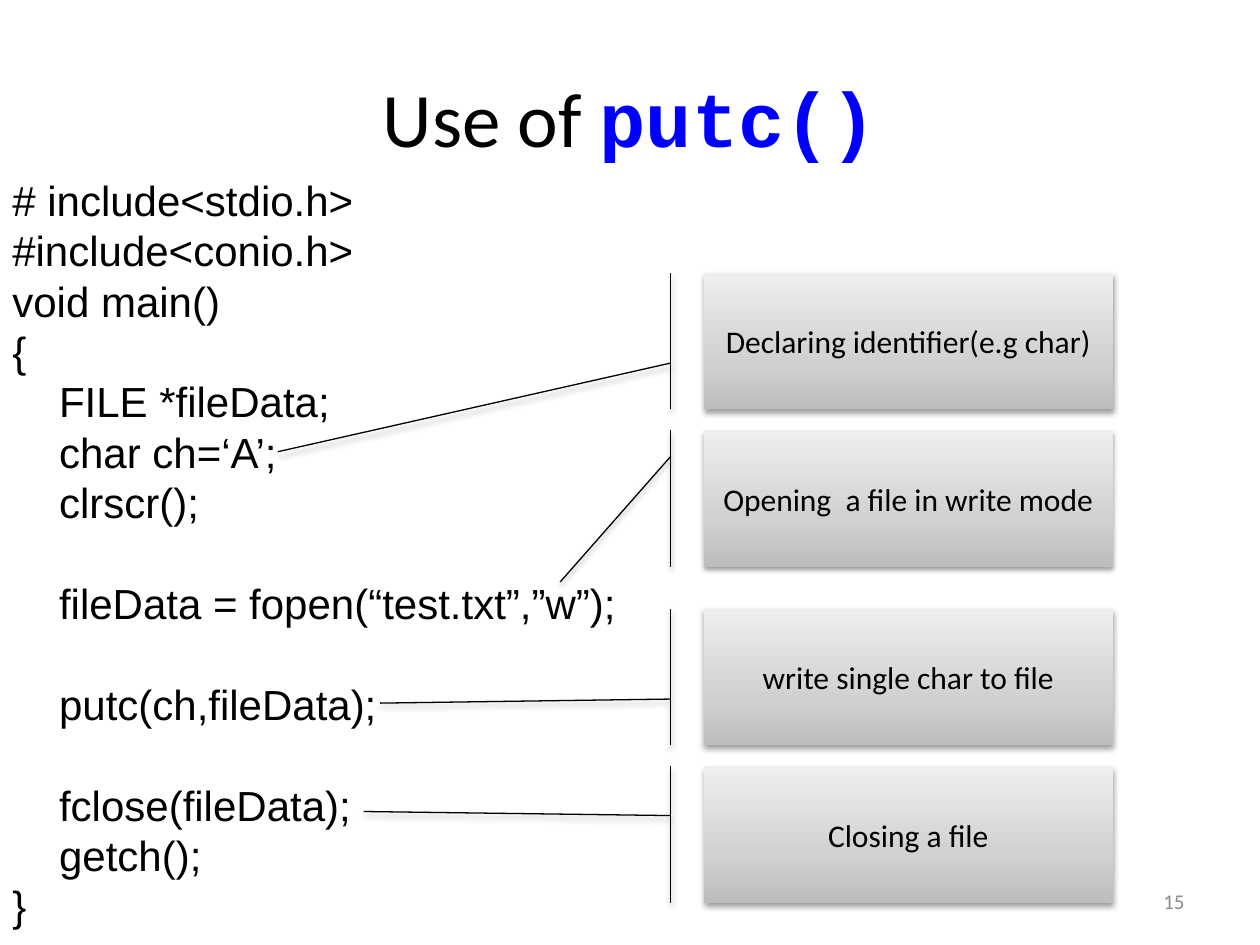
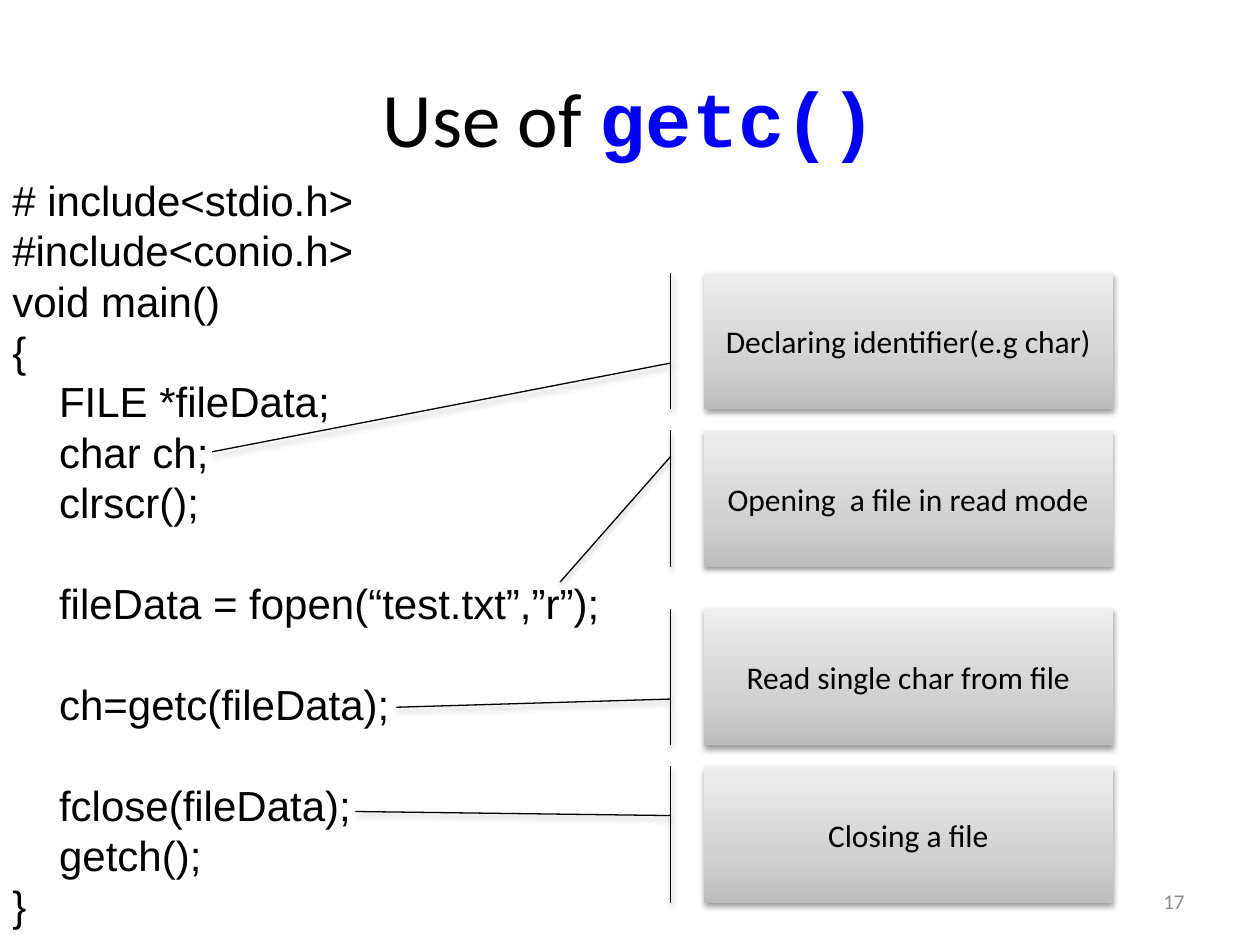
import pptx
import pptx.util
import pptx.dml.color
import pptx.enum.shapes
import pptx.enum.text
import lxml.etree
import copy

Pt = pptx.util.Pt
ALIGN = pptx.enum.text.PP_ALIGN
ANCHOR = pptx.enum.text.MSO_ANCHOR
DRAWING = "{http://schemas.openxmlformats.org/drawingml/2006/main}"

CODE_LINE = 28.8
CODE_INDENT = 26.7
CALLOUT_ROWS = (26, 41, 58, 73)
GRADIENT = ((0, "BDBDBD"), (0.35, "D1D1D1"), (1, "EEEEEE"))

FONTS = {
    "title": {"name": "Calibri", "size": Pt(44)},
    "function": {"name": "Courier New", "size": Pt(44), "bold": True},
    "code": {"name": "Arial", "size": Pt(24)},
    "callout": {"name": "Calibri", "size": Pt(18)},
    "number": {"name": "Calibri", "size": Pt(12)},
}
COLOURS = {"title": "000000", "function": "0000FF", "code": "000000",
           "callout": "000000", "number": "8C8C8C"}


def colour(value):
    return pptx.dml.color.RGBColor.from_string(value)


def apply(target, values):
    for key, value in values.items():
        setattr(target, key, value)


class Deck:
    columns, rows = 120, 90

    def __init__(self):
        self.presentation = pptx.Presentation()
        apply(self.presentation, {"slide_width": pptx.util.Inches(10),
                                  "slide_height": pptx.util.Inches(7.5)})
        self.slide = None

    def start_slide(self):
        self.slide = self.presentation.slides.add_slide(self.presentation.slide_layouts[6])

    def place(self, column, row, width, height):
        across = self.presentation.slide_width / self.columns
        down = self.presentation.slide_height / self.rows
        return [round(n) for n in (column * across, row * down, width * across, height * down)]

    def add_words(self, paragraph, words, style):
        run = paragraph.add_run()
        run.text = words
        apply(run.font, FONTS[style])
        run.font.color.rgb = colour(COLOURS[style])

    def text(self, area, anchor, align, *parts):
        frame = self.slide.shapes.add_textbox(*self.place(*area)).text_frame
        apply(frame, {"word_wrap": True, "vertical_anchor": anchor})
        paragraph = frame.paragraphs[0]
        paragraph.alignment = align
        for words, style in parts:
            self.add_words(paragraph, words, style)
        return frame

    def title(self, function):
        self.text((6, 3.6, 108, 15), ANCHOR.MIDDLE, ALIGN.CENTER,
                  ("Use of ", "title"), (function, "function"))

    def number(self, page):
        self.text((86, 83.4, 28, 4.8), ANCHOR.MIDDLE, ALIGN.RIGHT, (str(page), "number"))

    def code(self, blocks):
        frame = self.text((0, 16, 120, 74), ANCHOR.TOP, ALIGN.LEFT)
        paragraph = frame.paragraphs[0]
        for block_index, block in enumerate(blocks):
            for line_index, (indented, statement) in enumerate(block):
                if block_index or line_index:
                    paragraph = frame.add_paragraph()
                opens_block = block_index > 0 and line_index == 0
                apply(paragraph, {"line_spacing": Pt(CODE_LINE),
                                  "space_before": Pt(CODE_LINE if opens_block else 0)})
                if indented:
                    paragraph._p.get_or_add_pPr().set("marL", str(Pt(CODE_INDENT)))
                    paragraph._p.get_or_add_pPr().set("indent", "0")
                self.add_words(paragraph, statement, "code")

    def callout(self, row, words, pointer):
        kind = pptx.enum.shapes.MSO_SHAPE.LINE_CALLOUT_1_ACCENT_BAR
        note = self.slide.shapes.add_shape(kind, *self.place(67, row, 39, 13))
        for index, share in enumerate(pointer):
            note.adjustments[index] = share
        self.shade(note)
        note.line.color.rgb = colour("000000")
        note.line.width = Pt(0.75)
        self.cast_shadow(note)
        apply(note.text_frame, {"word_wrap": True, "vertical_anchor": ANCHOR.MIDDLE})
        paragraph = note.text_frame.paragraphs[0]
        paragraph.alignment = ALIGN.CENTER
        self.add_words(paragraph, words, "callout")

    def shade(self, note):
        note.fill.gradient()
        note.fill.gradient_angle = 90
        stop_list = note._element.spPr.find(f".//{DRAWING}gsLst")
        stop_list.append(copy.deepcopy(stop_list[-1]))
        for stop, (position, tone) in zip(note.fill.gradient_stops, GRADIENT):
            stop.position = position
            stop.color.rgb = colour(tone)

    def cast_shadow(self, note):
        note.shadow.inherit = False
        effects = note._element.spPr.find(f"{DRAWING}effectLst")
        shadow = lxml.etree.SubElement(effects, f"{DRAWING}outerShdw", blurRad=str(Pt(3.1)),
                                       dist=str(Pt(1.6)), dir="5400000", rotWithShape="0")
        tone = lxml.etree.SubElement(shadow, f"{DRAWING}srgbClr", val="000000")
        lxml.etree.SubElement(tone, f"{DRAWING}alpha", val="38000")


LESSONS = (
    {"page": 15, "function": "putc()", "declaration": "char ch=‘A’;", "mode": "w",
     "call": "putc(ch,fileData);", "opening": "Opening  a file in write mode",
     "action": "write single char to file",
     "declare_reach": -1.04, "action_end": (0.69, -0.79), "close_reach": -0.83},
    {"page": 17, "function": "getc()", "declaration": "char ch;", "mode": "r",
     "call": "ch=getc(fileData);", "opening": "Opening  a file in read mode",
     "action": "Read single char from file",
     "declare_reach": -1.2, "action_end": (0.72, -0.75), "close_reach": -0.85},
)


def program(lesson):
    return (
        ((False, "# include<stdio.h>"), (False, "#include<conio.h>"),
         (False, "void main()"), (False, "{"), (True, "FILE *fileData;"),
         (True, lesson["declaration"]), (True, "clrscr();")),
        ((True, f"fileData = fopen(“test.txt”,”{lesson['mode']}”);"),),
        ((True, lesson["call"]),),
        ((True, "fclose(fileData);"), (True, "getch();"), (False, "}")),
    )


def explanations(lesson):
    return (
        ("Declaring identifier(e.g char)", 0.66, (1.31, lesson["declare_reach"])),
        (lesson["opening"], 0.19, (1.11, -0.35)),
        (lesson["action"], 0.66, lesson["action_end"]),
        ("Closing a file", 0.36, (0.33, lesson["close_reach"])),
    )


def main():
    deck = Deck()
    for lesson in LESSONS:
        deck.start_slide()
        deck.title(lesson["function"])
        deck.code(program(lesson))
        for row, (words, start, end) in zip(CALLOUT_ROWS, explanations(lesson)):
            deck.callout(row, words, (start, -0.08, *end))
        deck.number(lesson["page"])
    deck.presentation.save("out.pptx")


if __name__ == "__main__":
    main()
